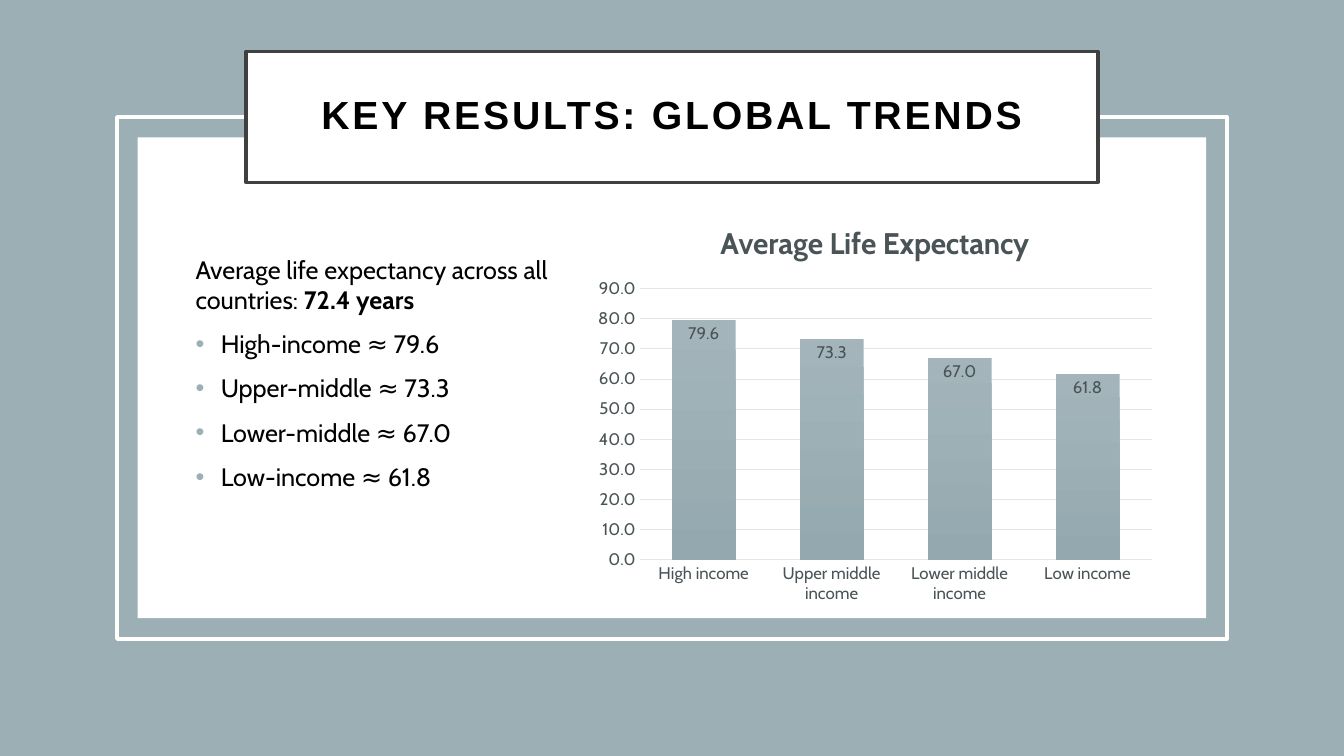
from dataclasses import dataclass

from lxml import etree
from pptx import Presentation
from pptx import util as u
from pptx.chart import data as chart_data
from pptx.dml import color
from pptx.enum import chart as chart_enum
from pptx.enum import shapes, text
from pptx.oxml import ns


@dataclass(frozen=True)
class Theme:
    accent: str = "9BAFB5"
    accent_light: str = "A3B5BB"
    accent_dark: str = "93A9AF"
    white: str = "FFFFFF"
    black: str = "000000"
    border: str = "404040"
    chart_text: str = "4A5356"
    grid: str = "E3E6E7"
    title_font: str = "Arial"
    body_font: str = "Cabin"
    title_size: float = 28
    body_size: float = 18
    chart_title_size: float = 21.3
    label_size: float = 12


theme = Theme()


def rgb(value):
    return color.RGBColor.from_string(value)


def add_text(paragraph, words, size=theme.body_size, font=theme.body_font,
             colour=theme.black, bold=False, spacing=0):
    run = paragraph.add_run()
    run.text = words
    run.font.size = u.Pt(size)
    run.font.name = font
    run.font.bold = bold
    run.font.color.rgb = rgb(colour)
    if spacing:
        run.font._element.set("spc", str(spacing * 100))


presentation = Presentation()
presentation.slide_width = u.Pt(960)
presentation.slide_height = u.Pt(540)
slide = presentation.slides.add_slide(presentation.slide_layouts[1])
title, body = slide.placeholders

backdrop_shapes = [
    ((0, 0, 960, 540), theme.accent, None),
    ((98.4, 98.2, 763.2, 343.4), theme.white, None),
    ((83.6, 83.5, 792.7, 373), None, theme.white),
]
for box, fill, line in backdrop_shapes:
    shape = slide.shapes.add_shape(shapes.MSO_SHAPE.RECTANGLE, *map(u.Pt, box))
    shape.shadow.inherit = False
    if fill:
        shape.fill.solid()
        shape.fill.fore_color.rgb = rgb(fill)
    else:
        shape.fill.background()
    if line:
        shape.line.color.rgb = rgb(line)
        shape.line.width = u.Pt(2.5)
    else:
        shape.line.fill.background()

placeholder_boxes = [
    (title, (175.8, 36.7, 608.4, 93.6)),
    (body, (132.5, 177.8, 286.5, 226.8)),
]
for placeholder, box in placeholder_boxes:
    slide.shapes._spTree.append(placeholder._element)
    placeholder.left, placeholder.top, placeholder.width, placeholder.height = map(u.Pt, box)
    placeholder.text_frame.word_wrap = True
    placeholder.text_frame.auto_size = text.MSO_AUTO_SIZE.NONE

title.fill.solid()
title.fill.fore_color.rgb = rgb(theme.white)
title.line.color.rgb = rgb(theme.border)
title.line.width = u.Pt(2.5)
title_frame = title.text_frame
title_frame.vertical_anchor = text.MSO_ANCHOR.MIDDLE
title_frame.margin_left = title_frame.margin_right = u.Pt(14.4)
title_frame.margin_top = title_frame.margin_bottom = u.Pt(14.4)
heading = title_frame.paragraphs[0]
heading.alignment = text.PP_ALIGN.CENTER
heading.line_spacing = 0.9
add_text(heading, "KEY RESULTS: GLOBAL TRENDS", size=theme.title_size,
         font=theme.title_font, bold=True, spacing=2)

body_frame = body.text_frame
body_frame.vertical_anchor = text.MSO_ANCHOR.TOP
summary = body_frame.paragraphs[0]
summary_properties = summary._p.get_or_add_pPr()
summary_properties.set("marL", "0")
summary_properties.set("indent", "0")
etree.SubElement(summary_properties, ns.qn("a:buNone"))
summary.space_before = u.Pt(0)
add_text(summary, "Average life expectancy across all countries: ")
add_text(summary, "72.4 years", bold=True)

income_results = [
    "High-income ≈ 79.6",
    "Upper-middle ≈ 73.3",
    "Lower-middle ≈ 67.0",
    "Low-income ≈ 61.8",
]
for result in income_results:
    paragraph = body_frame.add_paragraph()
    properties = paragraph._p.get_or_add_pPr()
    properties.set("marL", str(u.Pt(18)))
    properties.set("indent", str(-u.Pt(18)))
    bullet_colour = etree.SubElement(properties, ns.qn("a:buClr"))
    etree.SubElement(bullet_colour, ns.qn("a:srgbClr"), val=theme.accent)
    etree.SubElement(properties, ns.qn("a:buFont"), typeface=theme.title_font)
    etree.SubElement(properties, ns.qn("a:buChar"), char="•")
    paragraph.space_before = u.Pt(10)
    add_text(paragraph, result)

life_data = chart_data.CategoryChartData(number_format="0.0")
life_data.categories = ["High income", "Upper middle income", "Lower middle income", "Low income"]
life_data.add_series("Average Life Expectancy", [79.6, 73.3, 67.0, 61.8])
chart = slide.shapes.add_chart(
    chart_enum.XL_CHART_TYPE.COLUMN_CLUSTERED,
    *map(u.Pt, (419, 145.4, 411.8, 291.6)), life_data).chart
chart.has_legend = False
chart.font.name = theme.body_font
chart.font.size = u.Pt(theme.label_size)
chart.font.color.rgb = rgb(theme.chart_text)
chart.has_title = True
chart.chart_title.include_in_layout = False
add_text(chart.chart_title.text_frame.paragraphs[0], "Average Life Expectancy",
         size=theme.chart_title_size, colour=theme.chart_text, bold=True)

category_axis, value_axis = chart.category_axis, chart.value_axis
for axis in (category_axis, value_axis):
    axis.major_tick_mark = axis.minor_tick_mark = chart_enum.XL_TICK_MARK.NONE
value_axis.minimum_scale = 0
value_axis.maximum_scale = 90
value_axis.major_unit = 10
value_axis.tick_labels.number_format = "0.0"
value_axis.tick_labels.number_format_is_linked = False
value_axis.format.line.fill.background()
for line in (category_axis.format.line, value_axis.major_gridlines.format.line):
    line.color.rgb = rgb(theme.grid)
    line.width = u.Pt(0.75)

plot = chart.plots[0]
plot.vary_by_categories = False
plot.gap_width = 100
plot.overlap = -24
column_fill = plot.series[0].format.fill
column_fill.gradient()
column_fill.gradient_angle = 270
for stop, stop_colour in zip(column_fill.gradient_stops, (theme.accent_light, theme.accent_dark)):
    stop.color.rgb = rgb(stop_colour)

labels = plot.series[0].data_labels
labels.show_value = True
labels.position = chart_enum.XL_LABEL_POSITION.INSIDE_END
labels.number_format = "0.0"
labels.number_format_is_linked = False
labels.font.name = theme.body_font
labels.font.size = u.Pt(theme.label_size)
labels.font.color.rgb = rgb(theme.chart_text)

presentation.save("out.pptx")
